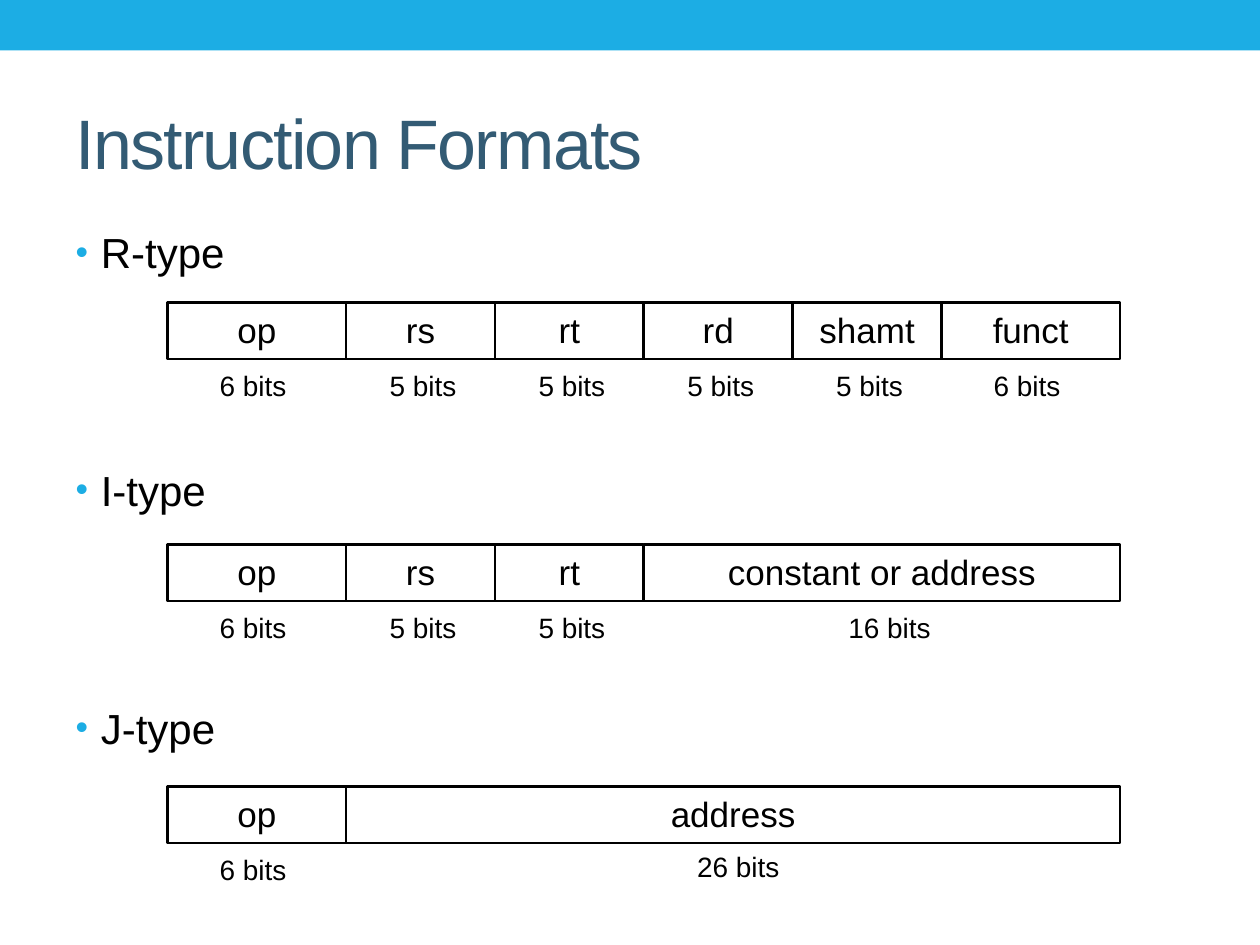
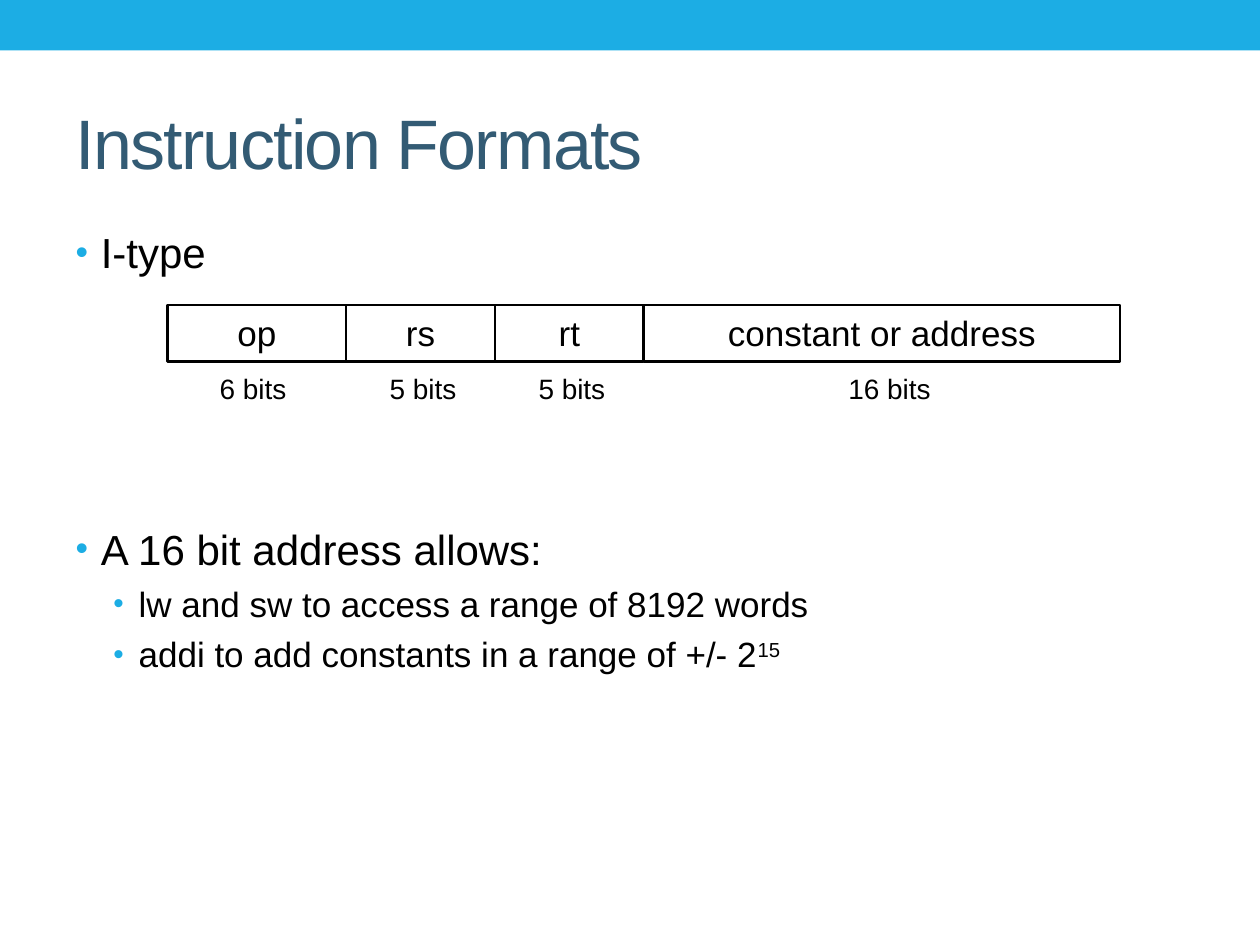
from lxml import etree
from pptx import Presentation
from pptx.dml.color import RGBColor
from pptx.enum.shapes import MSO_SHAPE
from pptx.enum.text import MSO_ANCHOR, MSO_AUTO_SIZE, PP_ALIGN
from pptx.oxml.ns import qn
from pptx.util import Inches, Pt

RECTANGLE = MSO_SHAPE.RECTANGLE
MIDDLE, TOP = MSO_ANCHOR.MIDDLE, MSO_ANCHOR.TOP
NO_FIT, GROW = MSO_AUTO_SIZE.NONE, MSO_AUTO_SIZE.SHAPE_TO_FIT_TEXT
LEFT, CENTER = PP_ALIGN.LEFT, PP_ALIGN.CENTER

ACCENT, TITLE_COLOR, BLACK = "1CADE4", "335B74", "000000"
FONT = "Arial"

WORD_LEFT, WORD_WIDTH, WORD_BITS = 1.33, 7.56, 32
FIELD_HEIGHT, LABEL_HEIGHT = 0.45, 0.37
# Sideways nudge of a bit-count label from its field's centre, by bit count
LABEL_SHIFT = {5: 0.02, 6: -0.03, 16: 0.06, 26: 0.04}

R_TYPE = [("op", 6), ("rs", 5), ("rt", 5), ("rd", 5), ("shamt", 5), ("funct", 6)]
I_TYPE = [("op", 6), ("rs", 5), ("rt", 5), ("constant or address", 16)]
J_TYPE = [("op", 6), ("address", 26)]

# Each bullet: text, superscript, level, space before in points
# Each instruction format: top, gap above the last label, fields
PAGES = [
    {
        "bullets": [("R-type", "", 0, 6), ("I-type", "", 0, 107), ("J-type", "", 0, 107)],
        "formats": [(2.4, 0.03, R_TYPE), (4.32, 0.03, I_TYPE), (6.24, 0, J_TYPE)],
    },
    {
        "bullets": [
            ("I-type", "", 0, 6),
            ("A 16 bit address allows:", "", 0, 140.5),
            ("lw and sw to access a range of 8192 words", "", 1, 5),
            ("addi to add constants in a range of +/- 2", "15", 1, 5),
        ],
        "formats": [(2.42, 0.03, I_TYPE)],
    },
]


def style_paragraph(para, size, color, align):
    para.alignment = align
    for span in para.runs:
        span.font.name = FONT
        span.font.size = Pt(size)
        span.font.color.rgb = RGBColor.from_string(color)


def add_bullet(para, indent):
    """Give the paragraph a hanging accent-coloured bullet."""
    props = para._p.get_or_add_pPr()
    props.set("marL", str(Inches(indent)))
    props.set("indent", str(-Inches(0.2)))
    bullet_color = etree.SubElement(props, qn("a:buClr"))
    etree.SubElement(bullet_color, qn("a:srgbClr"), val=ACCENT)
    etree.SubElement(props, qn("a:buSzPct"), val="85000")
    etree.SubElement(props, qn("a:buFont"), typeface=FONT)
    etree.SubElement(props, qn("a:buChar"), char="•")


deck = Presentation()
deck.slide_width, deck.slide_height = Inches(10), Inches(7.5)
layout = deck.slide_layouts[1]

# Shared placement of title and list
for holder, top, height in zip(layout.placeholders, (0.58, 1.75), (1.08, 5.33)):
    holder.left, holder.top = Inches(0.5), Inches(top)
    holder.width, holder.height = Inches(9), Inches(height)

for number, content in enumerate(PAGES):
    page = deck.slides.add_slide(layout)

    # The band is made once and moved into the shared layout
    if number == 0:
        band = page.shapes.add_shape(RECTANGLE, 0, 0, Inches(10), Inches(0.4))
        band.shadow.inherit = False
        band.fill.solid()
        band.fill.fore_color.rgb = RGBColor.from_string(ACCENT)
        band.line.fill.background()
        layout.shapes.element.insert(2, band.element)

    title = page.shapes.title.text_frame
    title.text = "Instruction Formats"
    title.vertical_anchor = MIDDLE
    title.auto_size = NO_FIT
    style_paragraph(title.paragraphs[0], 40, TITLE_COLOR, LEFT)
    title.paragraphs[0].runs[0]._r.get_or_add_rPr().set("spc", "-100")

    body = page.placeholders[1].text_frame
    body.vertical_anchor = TOP
    body.auto_size = NO_FIT
    for index, (text, superscript, level, space) in enumerate(content["bullets"]):
        para = body.add_paragraph() if index else body.paragraphs[0]
        para.text = text
        para.level = level
        para.space_before = Pt(space)
        if superscript:
            span = para.add_run()
            span.text = superscript
            span._r.get_or_add_rPr().set("baseline", "30000")
        style_paragraph(para, 20 if level else 24, BLACK, LEFT)
        add_bullet(para, 0.5 if level else 0.2)

    for top, last_gap, fields in content["formats"]:
        diagram = page.shapes.add_group_shape()
        left = WORD_LEFT
        for name, bits in fields:
            width = WORD_WIDTH * bits / WORD_BITS
            box = diagram.shapes.add_shape(
                RECTANGLE, Inches(left), Inches(top), Inches(width), Inches(FIELD_HEIGHT))
            box.shadow.inherit = False
            box.fill.background()
            box.line.color.rgb = RGBColor.from_string(BLACK)
            box.line.width = Pt(1.5)
            box.text_frame.text = name
            box.text_frame.vertical_anchor = TOP
            style_paragraph(box.text_frame.paragraphs[0], 20, BLACK, CENTER)

            label_width = 0.73 if bits < 10 else 0.86
            label_left = left + (width - label_width) / 2 + LABEL_SHIFT[bits]
            gap = last_gap if name == fields[-1][0] else 0.03
            label = diagram.shapes.add_textbox(
                Inches(label_left), Inches(top + FIELD_HEIGHT + gap),
                Inches(label_width), Inches(LABEL_HEIGHT))
            label.text_frame.text = f"{bits} bits"
            label.text_frame.word_wrap = False
            style_paragraph(label.text_frame.paragraphs[0], 16, BLACK, CENTER)

            for shape in (box, label):
                shape.text_frame.auto_size = GROW
            left += width

deck.save("out.pptx")
